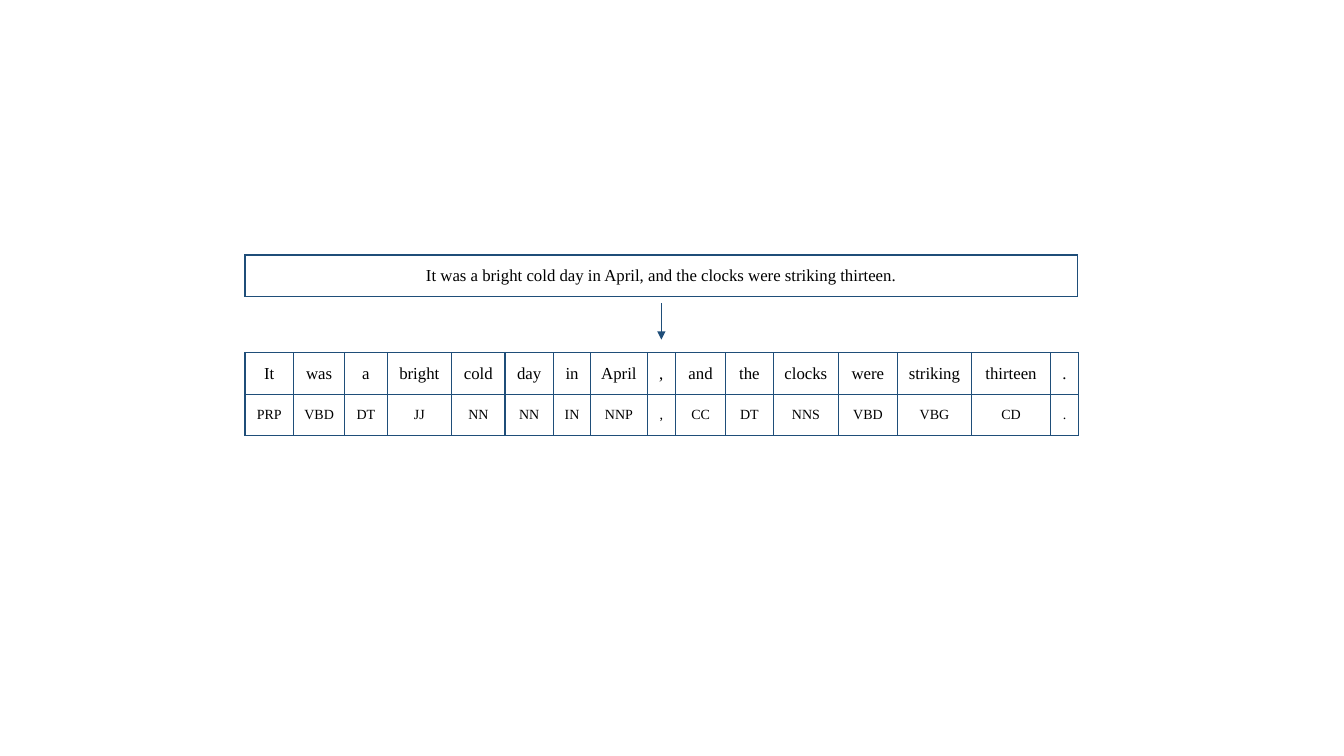
from pptx import Presentation
from pptx import util as u
from pptx.dml.color import RGBColor
from pptx.enum import shapes, text
from pptx.oxml import parse_xml
from pptx.oxml.ns import nsdecls, qn

BLUE, BLACK = "1F4E79", "000000"
LEFT, ROW_H = 2.43, 0.41


def rgb(value):
    return RGBColor.from_string(value)


def add_grid(s, top, widths, rows, sizes):
    """Add a plain bordered table with one font size per row."""
    tbl = s.shapes.add_table(
        len(rows), len(widths), u.Inches(LEFT), u.Inches(top),
        u.Inches(sum(widths)), u.Inches(ROW_H * len(rows))).table
    tbl.first_row = tbl.horz_banding = False
    for col, width in zip(tbl.columns, widths):
        col.width = u.Inches(width)
    for i, (words, size) in enumerate(zip(rows, sizes)):
        tbl.rows[i].height = u.Inches(ROW_H)
        for j, word in enumerate(words):
            cell = tbl.cell(i, j)
            cell.vertical_anchor = text.MSO_ANCHOR.MIDDLE
            cell.margin_left = cell.margin_right = u.Inches(0.05)
            p = cell.text_frame.paragraphs[0]
            p.alignment = text.PP_ALIGN.CENTER
            r = p.add_run()
            r.text = word
            for name, value in {"name": "Times New Roman", "size": u.Pt(size)}.items():
                setattr(r.font, name, value)
            r.font.color.rgb = rgb(BLACK)
            # Borders come before the fill in the cell properties
            for side in ("lnL", "lnR", "lnT", "lnB"):
                cell._tc.get_or_add_tcPr().append(parse_xml(
                    f'<a:{side} {nsdecls("a")} w="{u.Pt(1)}"><a:solidFill>'
                    f'<a:srgbClr val="{BLUE}"/></a:solidFill></a:{side}>'))
            cell.fill.background()


prs = Presentation()
prs.slide_width, prs.slide_height = u.Inches(13.33), u.Inches(7.5)
s = prs.slides.add_slide(prs.slide_layouts[6])

# Arrow from sentence to tokens
arrow = s.shapes.add_connector(shapes.MSO_CONNECTOR.STRAIGHT, u.Inches(6.56),
                               u.Inches(3.01), u.Inches(6.56), u.Inches(3.37))
arrow.line.color.rgb = rgb(BLUE)
arrow.line.width = u.Pt(0.5)
arrow.line._get_or_add_ln().append(
    parse_xml(f'<a:tailEnd {nsdecls("a")} type="triangle"/>'))
arrow._element.spPr.append(arrow._element.makeelement(qn("a:effectLst"), {}))

# Tokens with their part-of-speech tags
tokens = "It was a bright cold day in April , and the clocks were striking thirteen .".split()
tags = "PRP VBD DT JJ NN NN IN NNP , CC DT NNS VBD VBG CD .".split()
widths = [0.48, 0.51, 0.42, 0.64, 0.53, 0.48, 0.37, 0.56,
          0.28, 0.5, 0.47, 0.65, 0.58, 0.74, 0.78, 0.28]
add_grid(s, 3.5, widths, [tokens, tags], [12, 10])

# Whole sentence
sentence = "It was a bright cold day in April, and the clocks were striking thirteen."
add_grid(s, 2.53, [8.26], [[sentence]], [12])

prs.save("out.pptx")
